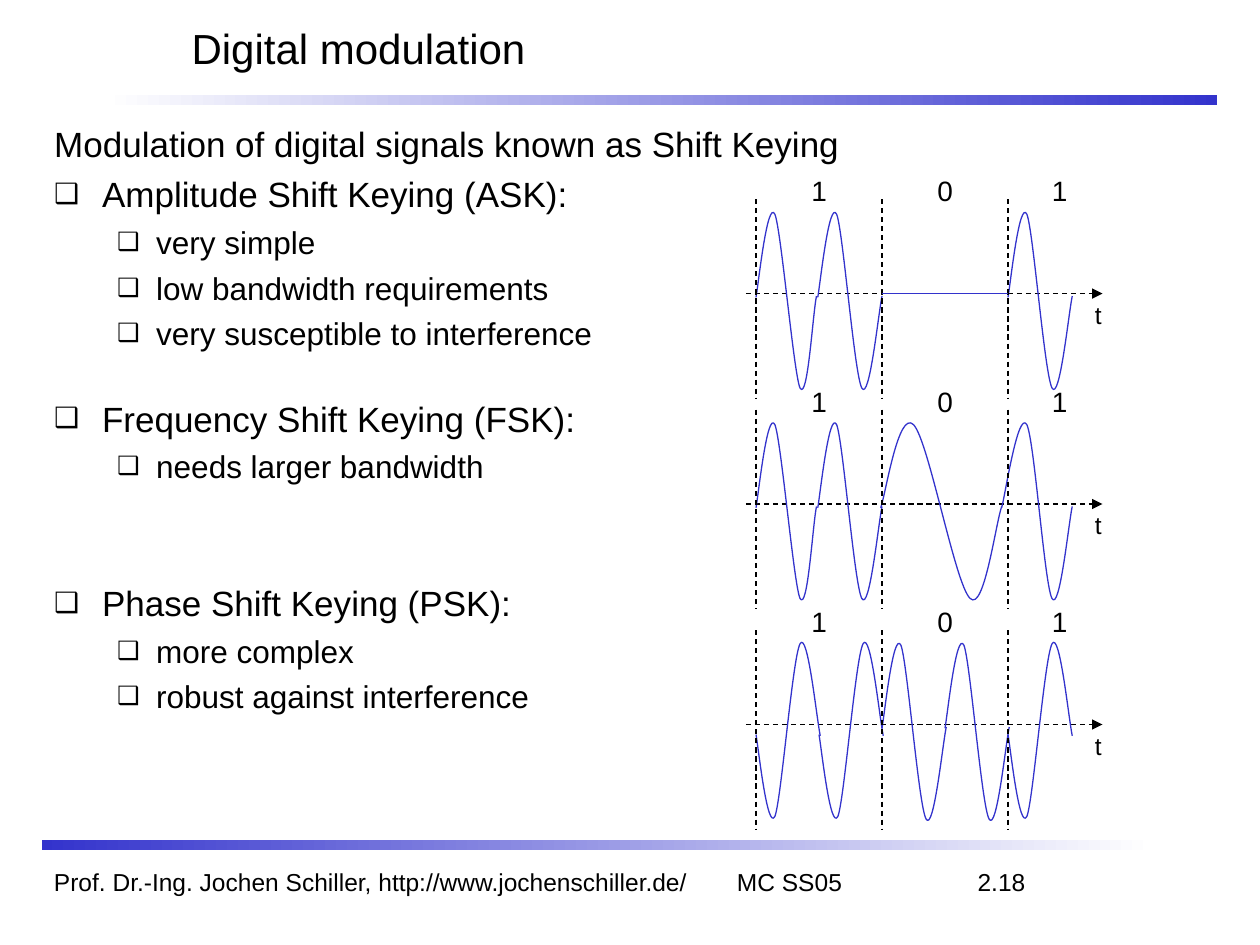
from pptx import Presentation
from pptx.dml.color import RGBColor
from pptx.enum.dml import MSO_LINE
from pptx.enum.shapes import MSO_CONNECTOR, MSO_SHAPE
from pptx.enum.text import MSO_ANCHOR, MSO_AUTO_SIZE, PP_ALIGN
from pptx.oxml.ns import qn
from pptx.util import Inches, Pt
from lxml.etree import SubElement

BLACK = RGBColor(0x00, 0x00, 0x00)
BLUE = RGBColor(0x33, 0x33, 0xCC)
WHITE = RGBColor(0xFF, 0xFF, 0xFF)

BIT_EDGES = (6, 7, 8)
BIT_LABELS = (("1", 6.34), ("0", 7.34), ("1", 8.25))

WAVE_Y = (0.03, -0.08, -0.75, -0.63, -0.51, 0.64, 0.75, 0.86, 0.17, 0.02)
INVERTED_Y = (0.08, 0.19, 0.85, 0.73, 0.61, -0.53, -0.64, -0.75, -0.06, 0.09)
REGULAR_X = (0, 0.02, 0.09, 0.15, 0.2, 0.29, 0.35, 0.41, 0.48, 0.51)
SHORT_X = (0, 0.02, 0.09, 0.15, 0.2, 0.3, 0.35, 0.41, 0.45, 0.48)
SLOW_X = (0, 0.04, 0.14, 0.26, 0.38, 0.59, 0.71, 0.82, 0.91, 0.96)
LATE_X = (0, 0.03, 0.13, 0.2, 0.26, 0.34, 0.4, 0.46, 0.53, 0.56)

ASK_WAVES = ((6, SHORT_X, WAVE_Y), (6.49, REGULAR_X, WAVE_Y), (8, REGULAR_X, WAVE_Y))
FSK_WAVES = (
    (6, SHORT_X, WAVE_Y),
    (6.49, REGULAR_X, WAVE_Y),
    (6.99, SLOW_X, WAVE_Y),
    (7.95, LATE_X, WAVE_Y),
)
PSK_WAVES = (
    (6, REGULAR_X, INVERTED_Y),
    (6.5, REGULAR_X, INVERTED_Y),
    (7, REGULAR_X, WAVE_Y),
    (7.5, REGULAR_X, WAVE_Y),
    (8, REGULAR_X, INVERTED_Y),
)
PLOTS = ((2.33, ASK_WAVES), (4, FSK_WAVES), (5.75, PSK_WAVES))

OUTLINE = (
    ("Amplitude Shift Keying (ASK):", 0, 5),
    ("very simple", 1, 4.5),
    ("low bandwidth requirements", 1, 4.5),
    ("very susceptible to interference", 1, 4.5),
    ("Frequency Shift Keying (FSK):", 0, 25.7),
    ("needs larger bandwidth", 1, 4.5),
    ("Phase Shift Keying (PSK):", 0, 55.4),
    ("more complex", 1, 4.5),
    ("robust against interference", 1, 4.5),
)
LEVEL_STYLES = ((0.38, 0.38, 20), (0.81, 0.31, 18))


def place(shape, left, top, width, height):
    shape.left, shape.top = Inches(left), Inches(top)
    shape.width, shape.height = Inches(width), Inches(height)


def set_font(paragraph, size):
    paragraph.font.name = "Arial"
    paragraph.font.size = Pt(size)
    paragraph.font.color.rgb = BLACK


def set_indent(paragraph, margin, hanging):
    properties = paragraph._p.get_or_add_pPr()
    properties.set("marL", str(Inches(margin)))
    properties.set("indent", str(-Inches(hanging)))
    return properties


def add_bullet(properties):
    color = SubElement(properties, qn("a:buClr"))
    SubElement(color, qn("a:srgbClr"), val=str(BLACK))
    SubElement(properties, qn("a:buSzPct"), val="80000")
    SubElement(properties, qn("a:buChar"), char="❑")


def fill_title(title):
    place(title, 1.42, 0, 8.42, 0.75)
    frame = title.text_frame
    frame.text = "Digital modulation"
    frame.vertical_anchor = MSO_ANCHOR.MIDDLE
    frame.auto_size = MSO_AUTO_SIZE.NONE
    frame.paragraphs[0].alignment = PP_ALIGN.LEFT
    set_font(frame.paragraphs[0], 24)


def fill_body(body):
    place(body, 0.33, 0.92, 9.33, 5.67)
    frame = body.text_frame
    frame.auto_size = MSO_AUTO_SIZE.NONE
    intro = frame.paragraphs[0]
    intro.text = "Modulation of digital signals known as Shift Keying"
    SubElement(set_indent(intro, 0.38, 0.38), qn("a:buNone"))
    intro.space_before = Pt(0)
    set_font(intro, 20)
    for text, level, space in OUTLINE:
        margin, hanging, size = LEVEL_STYLES[level]
        item = frame.add_paragraph()
        item.text = text
        item.level = level
        add_bullet(set_indent(item, margin, hanging))
        item.space_before = Pt(space)
        set_font(item, size)


def add_bar(slide, left, top, left_color, right_color):
    bar = slide.shapes.add_shape(
        MSO_SHAPE.RECTANGLE, Inches(left), Inches(top), Inches(8.83), Inches(0.08)
    )
    bar.shadow.inherit = False
    bar.line.fill.background()
    bar.fill.gradient()
    bar.fill.gradient_angle = 0
    for stop, color in zip(bar.fill.gradient_stops, (left_color, right_color)):
        stop.color.rgb = color


def add_label(slide, text, left, top, width, height, size):
    label = slide.shapes.add_textbox(
        Inches(left), Inches(top), Inches(width), Inches(height)
    )
    label.text_frame.word_wrap = False
    paragraph = label.text_frame.paragraphs[0]
    paragraph.text = text
    set_font(paragraph, size)
    return paragraph


def add_footer(slide):
    footer = add_label(slide, "Prof. Dr.-Ing. Jochen Schiller, http://www.jochenschiller.de/"
                       "\tMC SS05\t2.18", 0.33, 6.83, 8.75, 0.33, 14)
    tabs = SubElement(footer._p.get_or_add_pPr(), qn("a:tabLst"))
    for position, alignment in ((5.42, "l"), (7.71, "r")):
        SubElement(tabs, qn("a:tab"), pos=str(Inches(position)), algn=alignment)
    footer._p.pPr.insert(0, tabs)


def add_line(slide, x1, y1, x2, y2, color=BLACK, dashed=True, arrow=False):
    line = slide.shapes.add_connector(
        MSO_CONNECTOR.STRAIGHT, Inches(x1), Inches(y1), Inches(x2), Inches(y2)
    )
    line.line.color.rgb = color
    line.line.width = Pt(0.75)
    if dashed:
        line.line.dash_style = MSO_LINE.DASH
    if arrow:
        SubElement(line.line._get_or_add_ln(), qn("a:tailEnd"), type="triangle")
    SubElement(line._element.spPr, qn("a:effectLst"))


def add_wave(slide, left, axis, offsets_x, offsets_y):
    points = [
        (Inches(left + x), Inches(axis + y)) for x, y in zip(offsets_x, offsets_y)
    ]
    builder = slide.shapes.build_freeform(*points[0])
    builder.add_line_segments(points[1:], close=False)
    wave = builder.convert_to_shape()
    outline = wave._element.xpath(".//a:path")[0]
    segments = outline.findall(qn("a:lnTo"))
    for start in range(0, len(segments), 3):
        curve = SubElement(outline, qn("a:cubicBezTo"))
        for segment in segments[start:start + 3]:
            curve.append(segment[0])
            outline.remove(segment)
    wave.shadow.inherit = False
    wave.fill.background()
    wave.line.color.rgb = BLUE
    wave.line.width = Pt(0.75)


def add_plot(slide, axis, waves):
    add_line(slide, 5.92, axis, 8.75, axis, arrow=True)
    for left, offsets_x, offsets_y in waves:
        add_wave(slide, left, axis, offsets_x, offsets_y)
    for edge in BIT_EDGES:
        add_line(slide, edge, axis - 0.75, edge, axis + 0.83)
    for bit, left in BIT_LABELS:
        add_label(slide, bit, left, axis - 1, 0.32, 0.37, 16)
    add_label(slide, "t", 8.59, axis, 0.25, 0.34, 14)


def main():
    presentation = Presentation()
    presentation.slide_width = Inches(10)
    presentation.slide_height = Inches(7.5)
    slide = presentation.slides.add_slide(presentation.slide_layouts[1])
    add_bar(slide, 0.83, 0.75, WHITE, BLUE)
    add_bar(slide, 0.33, 6.67, BLUE, WHITE)
    add_footer(slide)
    fill_title(slide.shapes.title)
    fill_body(slide.placeholders[1])
    for axis, waves in PLOTS:
        add_plot(slide, axis, waves)
    add_line(slide, 7, 2.33, 8, 2.33, BLUE, dashed=False)
    presentation.save("out.pptx")


if __name__ == "__main__":
    main()
